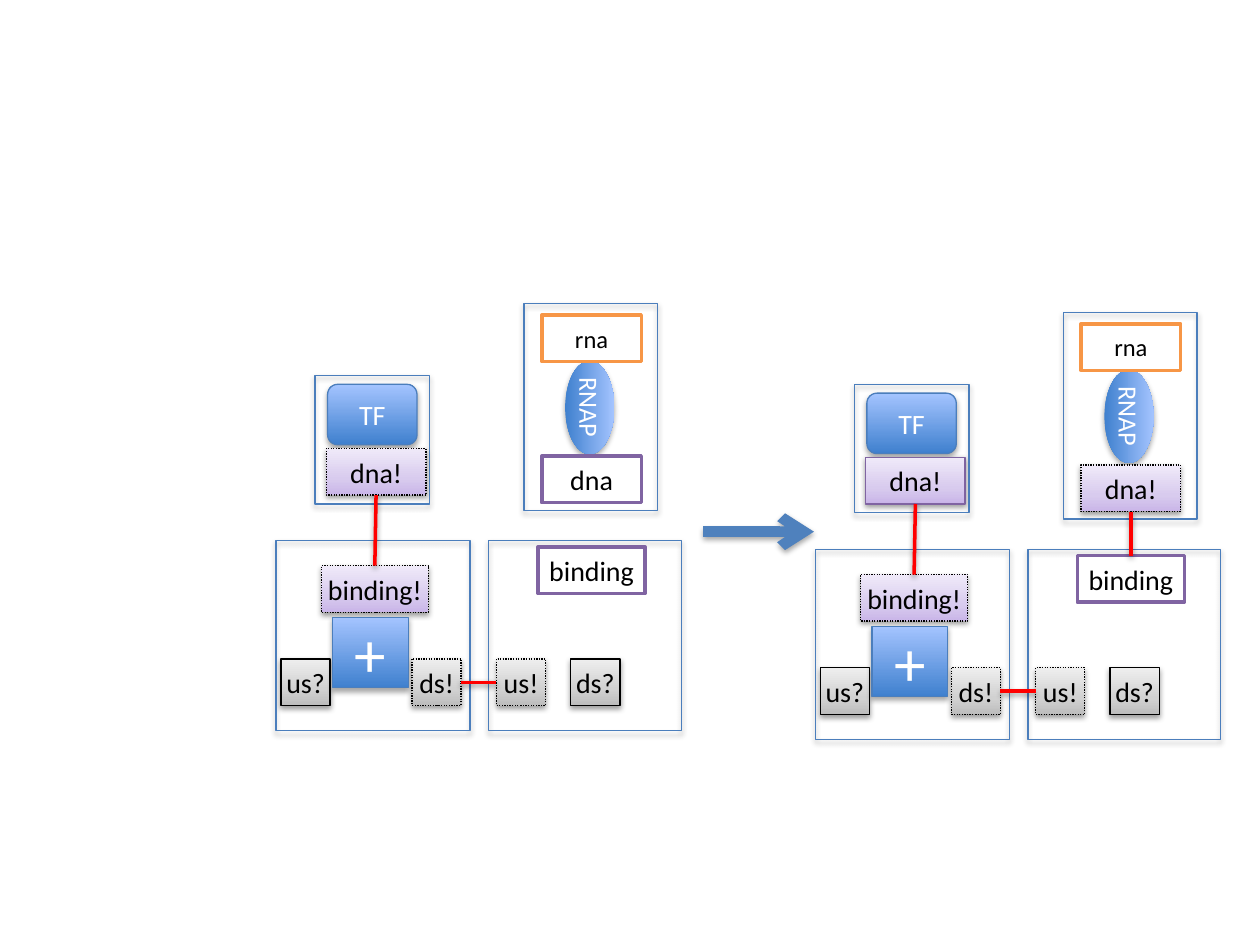
from dataclasses import dataclass

from lxml.etree import SubElement
from pptx import Presentation
from pptx.dml.color import RGBColor
from pptx.enum.dml import MSO_LINE
from pptx.enum.shapes import MSO_CONNECTOR, MSO_SHAPE
from pptx.enum.text import MSO_ANCHOR, PP_ALIGN
from pptx.oxml.ns import qn
from pptx.util import Inches, Pt


@dataclass(frozen=True)
class Theme:
    font: str = "Calibri"
    black: str = "000000"
    white: str = "FFFFFF"
    blue: str = "4B7EBC"
    arrow: str = "4F81BD"
    purple: str = "8064A2"
    orange: str = "F79646"
    red: str = "FF0000"
    gray_fade: tuple = ((0, "BDBDBD"), (35, "D1D1D1"), (100, "EEEEEE"))
    purple_fade: tuple = ((0, "C9B5E8"), (35, "D8CBEE"), (100, "F0EAF9"))
    blue_fade: tuple = ((0, "3F80CE"), (100, "A4C4FF"))
    label_size: float = 16
    rna_size: float = 14
    polymerase_size: float = 15
    operator_size: float = 36
    thin: float = 0.75
    thick: float = 2
    arrow_width: float = 6


THEME = Theme()
TOP, LEFT, BOTTOM, RIGHT = range(4)
SITE = (0.79, 0.37)
BINDING = (0.85, 0.37)
PORT = (0.39, 0.37)
SOFT = (38, 20000)
DEEP = (35, 23000)

# Formats shared by the kinds of part
FRAME = dict(line=THEME.blue, shadow=DEEP)
BODY = dict(fade=THEME.blue_fade, line=THEME.blue, color=THEME.white, shadow=DEEP)
OPEN_PORT = dict(fade=THEME.gray_fade, line=THEME.black, shadow=SOFT)
BOUND_PORT = dict(OPEN_PORT, dotted=True)
OPEN_SITE = dict(fill=THEME.white, line=THEME.purple, width=THEME.thick)
SOLID_SITE = dict(fade=THEME.purple_fade, line=THEME.purple, shadow=SOFT)
BOUND_SITE = dict(SOLID_SITE, line=THEME.black, dotted=True)
RNA_SITE = dict(OPEN_SITE, line=THEME.orange, size=THEME.rna_size)


def rgb(value):
    return RGBColor.from_string(value)


def add_shadow(effects, shadow):
    opacity, distance = shadow
    outer = SubElement(effects, qn("a:outerShdw"), blurRad="40000", dist=str(distance),
                       dir="5400000", rotWithShape="0")
    color = SubElement(outer, qn("a:srgbClr"), val=THEME.black)
    SubElement(color, qn("a:alpha"), val=str(opacity * 1000))


def fill_fade(shape, stops):
    """Fill with a gradient that runs from the bottom to the top."""
    shape.fill.gradient()
    shape.fill.gradient_angle = 90
    stop_list = shape.element.spPr.find(qn("a:gradFill")).find(qn("a:gsLst"))
    for old_stop in list(stop_list):
        stop_list.remove(old_stop)
    for position, color in stops:
        stop = SubElement(stop_list, qn("a:gs"), pos=str(position * 1000))
        SubElement(stop, qn("a:srgbClr"), val=color)


def write_label(shape, text, size, color, inset):
    frame = shape.text_frame
    settings = dict(word_wrap=False, vertical_anchor=MSO_ANCHOR.MIDDLE,
                    margin_left=Inches(inset), margin_right=Inches(inset),
                    margin_top=Inches(0.05), margin_bottom=Inches(0.05))
    for name, value in settings.items():
        setattr(frame, name, value)
    paragraph = frame.paragraphs[0]
    paragraph.text = text
    paragraph.alignment = PP_ALIGN.CENTER
    paragraph.font.name = THEME.font
    paragraph.font.size = Pt(size)
    paragraph.font.color.rgb = rgb(color)


def add_part(slide, origin, offset, extent, text="", kind=MSO_SHAPE.RECTANGLE, fill=None,
             fade=None, line=None, width=THEME.thin, dotted=False, shadow=None,
             size=THEME.label_size, color=THEME.black, inset=0.04):
    left, top = (start + step for start, step in zip(origin, offset))
    shape = slide.shapes.add_shape(kind, *map(Inches, (left, top, *extent)))
    if fade:
        fill_fade(shape, fade)
    elif fill:
        shape.fill.solid()
        shape.fill.fore_color.rgb = rgb(fill)
    else:
        shape.fill.background()
    if line:
        shape.line.color.rgb = rgb(line)
        shape.line.width = Pt(width)
        if dotted:
            shape.line.dash_style = MSO_LINE.ROUND_DOT
    else:
        shape.line.fill.background()
    shape.shadow.inherit = False
    if shadow:
        add_shadow(shape.element.spPr.find(qn("a:effectLst")), shadow)
    if text:
        write_label(shape, text, size, color, inset)
    return shape


def add_line(slide, start, end, color, width, shadow):
    points = map(Inches, (*start, *end))
    connector = slide.shapes.add_connector(MSO_CONNECTOR.STRAIGHT, *points)
    connector.line.color.rgb = rgb(color)
    connector.line.width = Pt(width)
    add_shadow(SubElement(connector.element.spPr, qn("a:effectLst")), shadow)
    return connector


def add_bond(slide, first, first_side, second, second_side):
    bond = add_line(slide, (0, 0), (0, 0), THEME.red, THEME.thick, SOFT)
    bond.begin_connect(first, first_side)
    bond.end_connect(second, second_side)


def draw_factor(slide, origin, site_format):
    """Draw the transcription factor and return its DNA site."""
    add_part(slide, origin, (0.1, 0.07), (0.71, 0.48), "TF",
             MSO_SHAPE.ROUNDED_RECTANGLE, **BODY)
    site = add_part(slide, origin, (0.09, 0.58), SITE, "dna!", **site_format)
    add_part(slide, origin, (0, 0), (0.91, 1.02), **FRAME)
    return site


def draw_polymerase(slide, origin, bound):
    """Draw the polymerase and return its DNA site."""
    body = add_part(slide, origin, (0.15, 0.63), (0.74, 0.39), "RNAP", MSO_SHAPE.OVAL,
                    **dict(BODY, line=None, size=THEME.polymerase_size, inset=0.02))
    body.rotation = 90
    label, site_format = ("dna!", BOUND_SITE) if bound else ("dna", OPEN_SITE)
    site = add_part(slide, origin, (0.14, 1.21), SITE, label, **site_format)
    add_part(slide, origin, (0.14, 0.09), SITE, "rna", **RNA_SITE)
    add_part(slide, origin, (0, 0), (1.06, 1.64), **FRAME)
    return site


def draw_operator(slide, origin):
    """Draw the operator block and return its binding site and downstream port."""
    add_part(slide, origin, (0.04, 0.94), PORT, "us?", **OPEN_PORT)
    port = add_part(slide, origin, (1.08, 0.94), PORT, "ds!", **BOUND_PORT)
    site = add_part(slide, origin, (0.36, 0.2), BINDING, "binding!", **BOUND_SITE)
    add_part(slide, origin, (0, 0), (1.54, 1.51), **FRAME)
    add_part(slide, origin, (0.45, 0.61), (0.6, 0.56), "+",
             **dict(BODY, size=THEME.operator_size, inset=0.1))
    return site, port


def draw_promoter(slide, origin):
    """Draw the promoter block and return its binding site and upstream port."""
    port = add_part(slide, origin, (0.06, 0.94), PORT, "us!", **BOUND_PORT)
    add_part(slide, origin, (0.65, 0.94), PORT, "ds?", **OPEN_PORT)
    add_part(slide, origin, (0, 0), (1.53, 1.51), **FRAME)
    site = add_part(slide, origin, (0.39, 0.05), BINDING, "binding", **OPEN_SITE)
    return site, port


def draw_state(slide, left, top, polymerase_bound):
    factor_format = SOLID_SITE if polymerase_bound else BOUND_SITE
    factor_site = draw_factor(slide, (left + 0.31, top + 0.57), factor_format)
    polymerase_site = draw_polymerase(slide, (left + 1.97, top), polymerase_bound)
    operator_site, downstream = draw_operator(slide, (left, top + 1.88))
    promoter_site, upstream = draw_promoter(slide, (left + 1.69, top + 1.88))
    add_bond(slide, factor_site, BOTTOM, operator_site, TOP)
    add_bond(slide, downstream, RIGHT, upstream, LEFT)
    if polymerase_bound:
        add_bond(slide, polymerase_site, BOTTOM, promoter_site, TOP)


def draw_reaction_arrow(slide, start, end):
    arrow = add_line(slide, start, end, THEME.arrow, THEME.arrow_width, DEEP)
    SubElement(arrow.line._get_or_add_ln(), qn("a:tailEnd"), type="arrow")


def main():
    presentation = Presentation()
    presentation.slide_width, presentation.slide_height = Inches(10), Inches(7.5)
    slide = presentation.slides.add_slide(presentation.slide_layouts[6])
    draw_state(slide, 2.19, 2.41, polymerase_bound=False)
    draw_reaction_arrow(slide, (5.58, 4.22), (6.46, 4.22))
    draw_state(slide, 6.47, 2.48, polymerase_bound=True)
    presentation.save("out.pptx")


if __name__ == "__main__":
    main()
